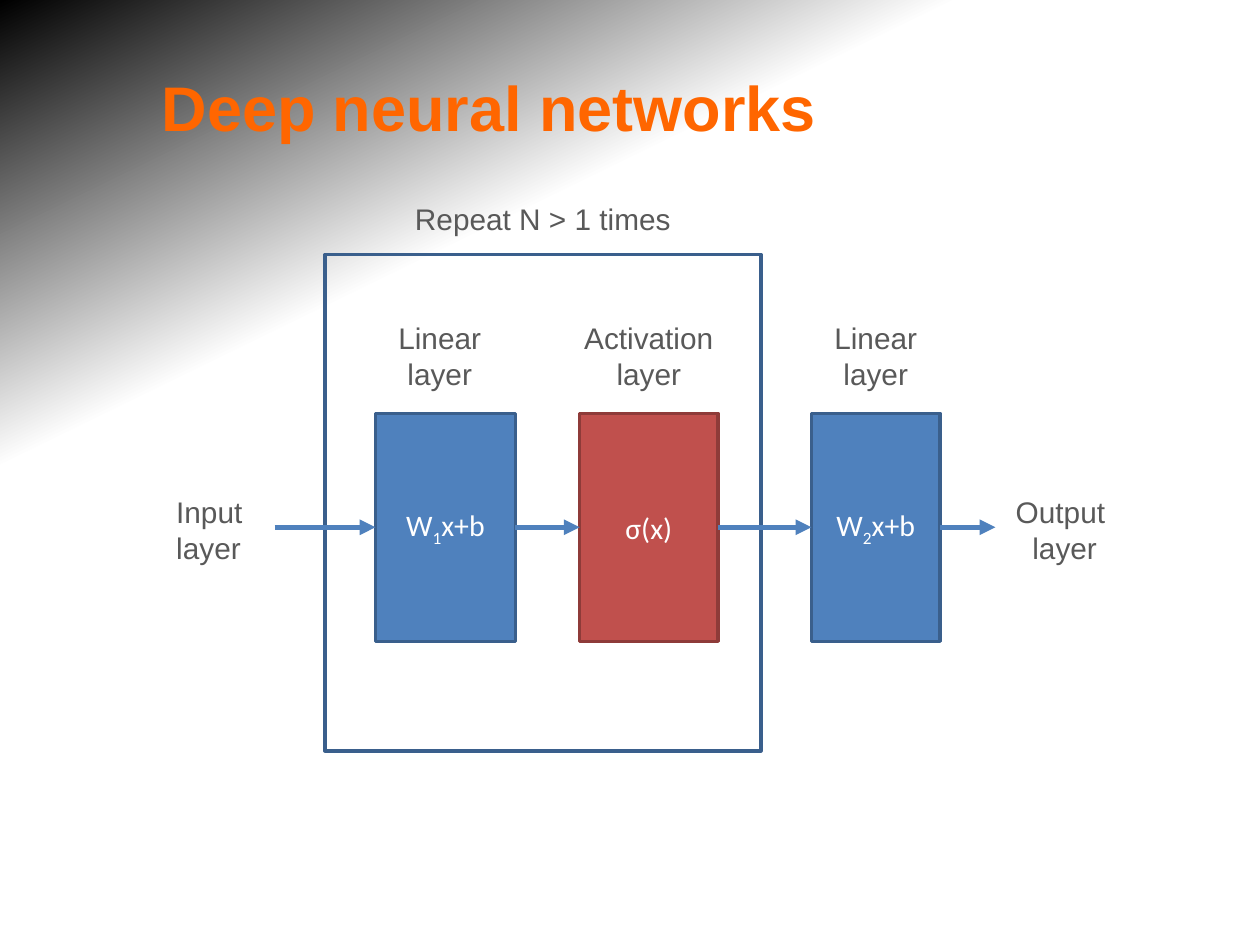
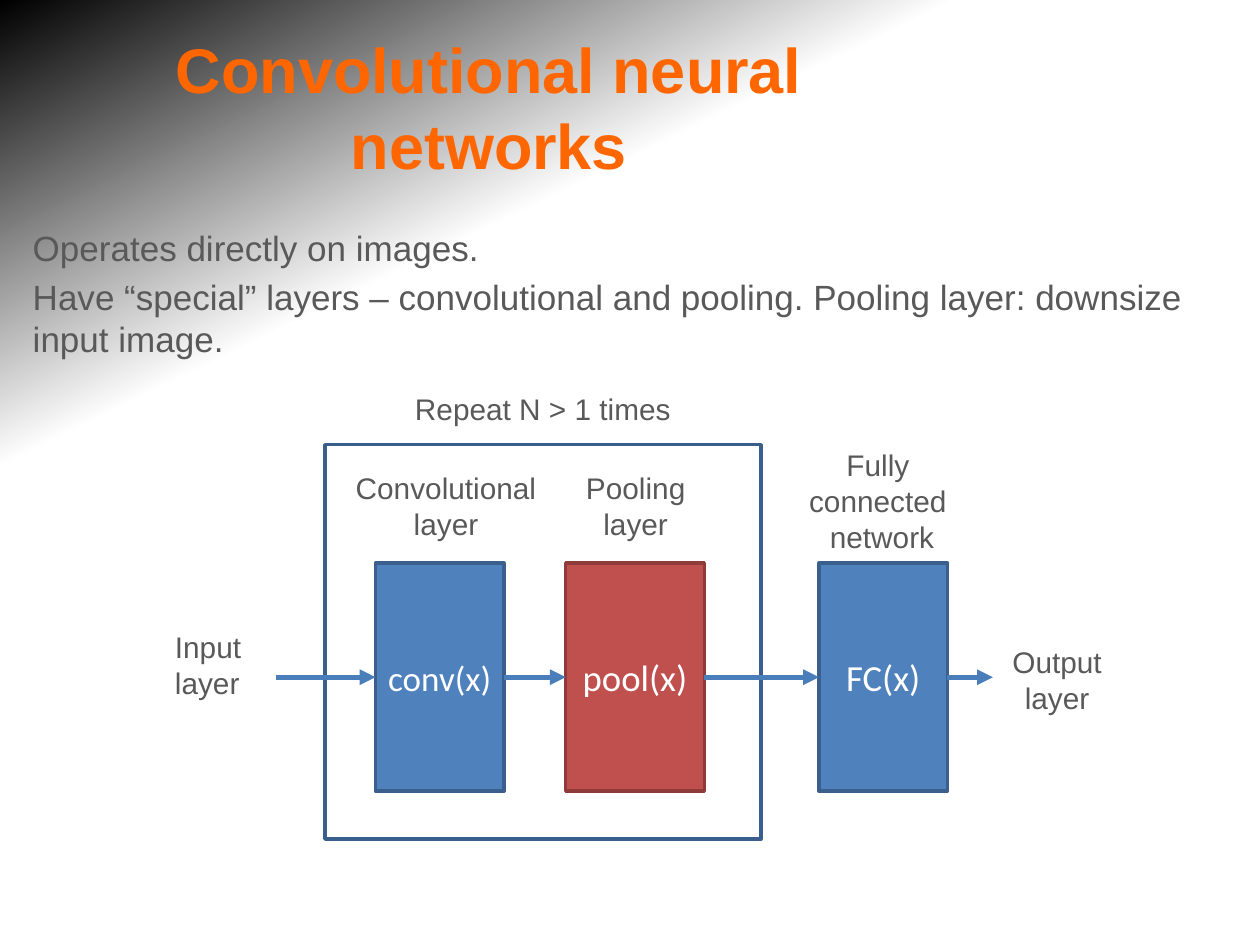
import pptx
import pptx.util
import pptx.dml.color
import pptx.enum.shapes
import pptx.enum.text
import pptx.oxml
import pptx.oxml.ns
from pptx.util import Inches

# Shared look
ORANGE, GREY, WHITE = "FF6600", "595959", "FFFFFF"
BLUE, NAVY = "4F81BD", "3A5F8C"
RED, MAROON = "C0504D", "8E3B39"
STEEL = "4A7EBB"
TEXT, MATH = "Arial", "Calibri"
MIDDLE = pptx.enum.text.MSO_ANCHOR.MIDDLE
CENTER = pptx.enum.text.PP_ALIGN.CENTER
LEFT = pptx.enum.text.PP_ALIGN.LEFT
FIT = pptx.enum.text.MSO_AUTO_SIZE
RECT = pptx.enum.shapes.MSO_SHAPE.RECTANGLE
STRAIGHT = pptx.enum.shapes.MSO_CONNECTOR.STRAIGHT
FRAME_X, FRAME_W = 2.58, 3.46
BLOCK_H = 1.81


def color(code):
    return pptx.dml.color.RGBColor.from_string(code)


def make(tag, **attrs):
    node = pptx.oxml.parse_xml(f"<{tag} {pptx.oxml.ns.nsdecls('a')}/>")
    for key, value in attrs.items():
        node.set(key, value)
    return node


def style(para, size, face, code, bold=False, align=CENTER):
    para.alignment = align
    for run in para.runs:
        font = run.font
        font.size, font.name, font.bold = pptx.util.Pt(size), face, bold
        font.color.rgb = color(code)


def place(shape, x, y, w, h):
    shape.left, shape.top = Inches(x), Inches(y)
    shape.width, shape.height = Inches(w), Inches(h)


def backdrop(deck):
    """Fade from a dark top left corner to white, on the master."""
    fill = deck.slide_master.background.fill
    fill.gradient()
    fill.gradient_angle = 116
    stops = deck.slide_master.element.find(".//" + pptx.oxml.ns.qn("a:gsLst"))
    for old in list(stops):
        stops.remove(old)
    for pos, code, alpha in ((0, WHITE, 100), (70, WHITE, 100), (100, "000000", 41)):
        stop = make("a:gs", pos=str(pos * 1000))
        shade = make("a:srgbClr", val=code)
        if alpha < 100:
            shade.append(make("a:alpha", val=str(alpha * 1000)))
        stop.append(shade)
        stops.append(stop)


def titled(deck, layout, text):
    slide = deck.slides.add_slide(deck.slide_layouts.get_by_name(layout))
    title = slide.shapes.title
    place(title, 0.5, 0.33, 6.74, 1.03)
    frame = title.text_frame
    frame.text = text
    frame.auto_size, frame.vertical_anchor = FIT.NONE, MIDDLE
    frame.margin_left = Inches(0.12)
    style(frame.paragraphs[0], 36, TEXT, ORANGE, bold=True)
    return slide


def body(slide, text):
    holder = slide.placeholders[1]
    place(holder, 0.16, 1.75, 9.64, 1.18)
    holder.text_frame.text = text
    holder.text_frame.auto_size = FIT.SHAPE_TO_FIT_TEXT
    for para in holder.text_frame.paragraphs:
        style(para, 20, TEXT, GREY, align=LEFT)
        props = para._p.get_or_add_pPr()
        props.set("marL", "0")
        props.set("indent", "0")
        props.append(make("a:buNone"))


def label(slide, text, x, y, w, h, align=CENTER):
    frame = slide.shapes.add_textbox(Inches(x), Inches(y), Inches(w), Inches(h)).text_frame
    frame.word_wrap = True
    frame.text = text
    for para in frame.paragraphs:
        style(para, 17, TEXT, GREY, align=align)


def box(slide, x, y, w, h, edge, fill=None):
    shape = slide.shapes.add_shape(RECT, Inches(x), Inches(y), Inches(w), Inches(h))
    shape.shadow.inherit = False
    if fill:
        shape.fill.solid()
        shape.fill.fore_color.rgb = color(fill)
    else:
        shape.fill.background()
    shape.line.color.rgb = color(edge)
    shape.line.width = pptx.util.Pt(2)
    return shape


def block(slide, text, x, y, w, size, fill=BLUE, edge=NAVY):
    """Layer box; a part between underscores is set as a subscript."""
    shape = box(slide, x, y, w, BLOCK_H, edge, fill)
    shape.text_frame.vertical_anchor = MIDDLE
    para = shape.text_frame.paragraphs[0]
    for i, part in enumerate(text.split("_")):
        run = para.add_run()
        run.text = part
        if i % 2:
            run._r.get_or_add_rPr().set("baseline", "-25000")
    style(para, size, MATH, WHITE)
    return shape


def repeat(slide, y, h):
    box(slide, FRAME_X, y, FRAME_W, h, NAVY)
    label(slide, "Repeat N > 1 times", FRAME_X, y - 0.48, FRAME_W, 0.51)


def arrow(slide, x1, x2, y, code, source=None, target=None):
    line = slide.shapes.add_connector(STRAIGHT, Inches(x1), Inches(y), Inches(x2), Inches(y))
    if source is not None:
        line.begin_connect(source, 3)
    if target is not None:
        line.end_connect(target, 1)
    line.line.color.rgb = color(code)
    line.line.width = pptx.util.Pt(3)
    line.line._get_or_add_ln().append(make("a:tailEnd", type="triangle"))
    line._element.spPr.append(make("a:effectLst"))


def flow(slide, blocks, start, end, y, code):
    """Arrows from the input through each block to the output."""
    mid = y + BLOCK_H / 2
    for source, target in zip([None] + blocks, blocks + [None]):
        arrow(slide, start, end, mid, code, source, target)


def deep(deck):
    slide = titled(deck, "Title Only", "Deep neural networks")
    repeat(slide, 2.02, 3.94)
    top = 3.28
    blocks = [
        block(slide, "W_1_x+b", 2.98, top, 1.11, 17),
        block(slide, "σ(x)", 4.6, top, 1.1, 17, RED, MAROON),
        block(slide, "W_2_x+b", 6.44, top, 1.02, 17),
    ]
    flow(slide, blocks, 2.18, 7.9, top, BLUE)
    for text, x, w in (("Linear", 2.98, 1.02), ("Activation", 4.4, 1.5), ("Linear", 6.44, 1.02)):
        label(slide, text + "\nlayer", x, 2.49, w, 0.79)
    label(slide, "Input\nlayer", 1.3, 3.87, 0.88, 0.63, LEFT)
    label(slide, "Output \nlayer", 7.9, 3.87, 1.1, 0.63)


def conv(deck):
    slide = titled(deck, "Title and Content", "Convolutional neural networks")
    body(slide, "Operates directly on images.\nHave “special” layers – convolutional "
                "and pooling. Pooling layer: downsize input image.")
    repeat(slide, 3.53, 3.13)
    top = 4.47
    blocks = [
        block(slide, "conv(x)", 2.98, top, 1.02, 20),
        block(slide, "pool(x)", 4.49, top, 1.1, 21, RED, MAROON),
        block(slide, "FC(x)", 6.5, top, 1.02, 21),
    ]
    flow(slide, blocks, 2.19, 7.88, top, STEEL)
    label(slide, "Convolutional\nlayer", 2.58, 3.68, 1.92, 0.79)
    label(slide, "Pooling\nlayer", 4.07, 3.68, 1.95, 0.79)
    label(slide, "Fully \nconnected \nnetwork", 6.24, 3.5, 1.52, 0.97)
    label(slide, "Input\nlayer", 1.29, 4.94, 0.9, 0.86, LEFT)
    label(slide, "Output\nlayer", 7.88, 5.06, 1.02, 0.62)


def main():
    deck = pptx.Presentation()
    deck.slide_width, deck.slide_height = Inches(10), Inches(7.5)
    backdrop(deck)
    deep(deck)
    conv(deck)
    deck.save("out.pptx")


if __name__ == "__main__":
    main()
